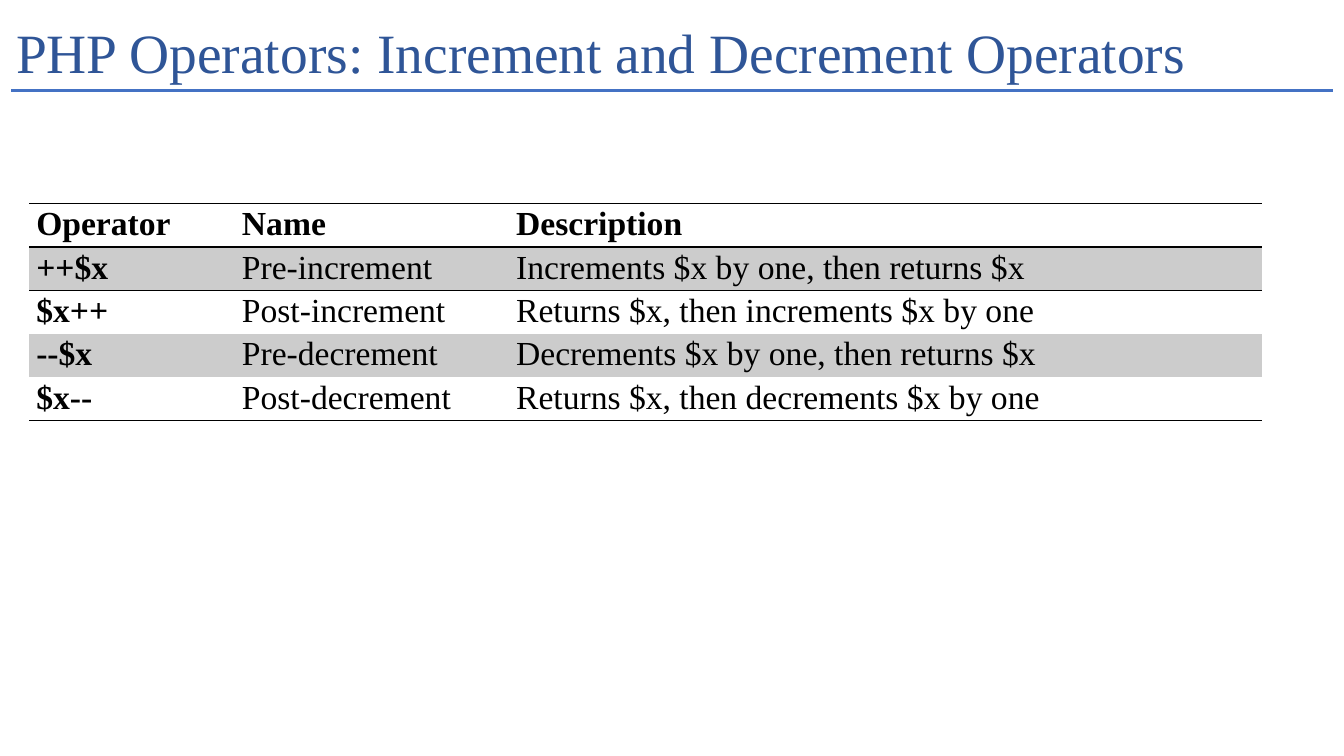
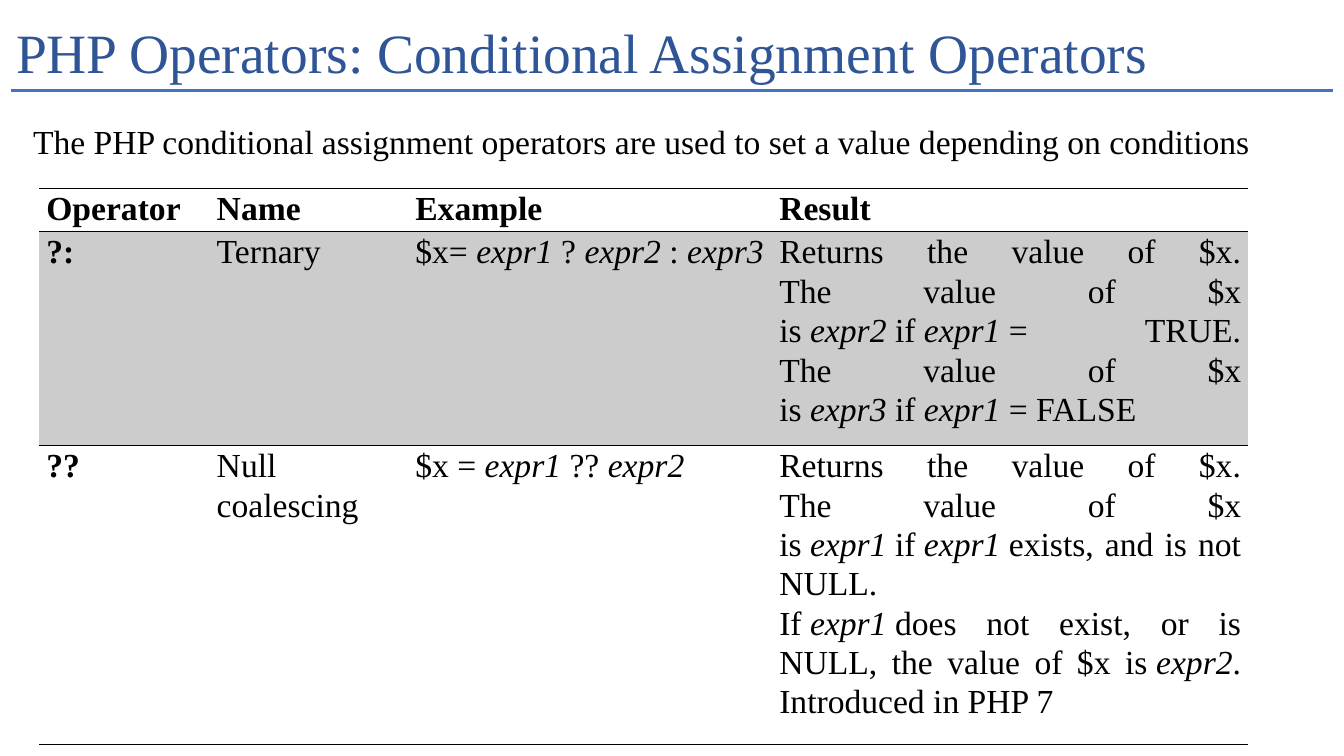
from lxml.etree import SubElement
from pptx import Presentation
from pptx.dml.color import RGBColor
from pptx.enum.shapes import MSO_CONNECTOR as Connector
from pptx.enum.text import MSO_ANCHOR as Anchor, MSO_AUTO_SIZE as AutoSize, PP_ALIGN as Align
from pptx.oxml.ns import qn
from pptx.util import Inches, Pt

FONT = "Times New Roman"
TITLE_BLUE, RULE_BLUE, BLACK, BAND_GREY = "2F5597", "4472C4", "000000", "CCCCCC"
TITLE_SIZE, BODY_SIZE = 39.6, 24
NO_STYLE = "{2D5ABB26-0587-4C30-8999-92F81FD0307C}"
NBSP = chr(160)

SLIDES = [
    {
        "title": "PHP Operators: Increment and Decrement Operators",
        "table": {
            "left": 0.29, "top": 2.02, "align": Align.LEFT,
            "columns": [2.04, 2.72, 7.47],
            "heights": [0.43] * 5,
            "rows": [
                ("Operator", "Name", "Description"),
                ("++$x", "Pre-increment", "Increments $x by one, then returns $x"),
                ("$x++", "Post-increment", "Returns $x, then increments $x by one"),
                ("--$x", "Pre-decrement", "Decrements $x by one, then returns $x"),
                ("$x--", "Post-decrement", "Returns $x, then decrements $x by one"),
            ],
        },
    },
    {
        "title": "PHP Operators: Conditional Assignment Operators",
        "intro": "The PHP conditional assignment operators are used to set a value depending on conditions",
        "table": {
            "left": 0.39, "top": 1.87, "align": Align.JUSTIFY,
            "columns": [1.69, 1.97, 3.61, 4.72],
            "heights": [0.43, 2.12, 2.96],
            "rows": [
                ("Operator", "Name", "Example", "Result"),
                ("?:", "Ternary", "$x= *expr1* ? *expr2* : *expr3*",
                 "Returns the value of $x.\nThe value of $x is *expr2* if *expr1* = TRUE.\n"
                 "The value of $x is *expr3* if *expr1* = FALSE"),
                ("??", "Null coalescing", "$x = *expr1* ?? *expr2*",
                 "Returns the value of $x.\nThe value of $x is *expr1* if *expr1* exists, and is not NULL.\n"
                 "If *expr1* does not exist, or is NULL, the value of $x is *expr2*.\nIntroduced in PHP 7"),
            ],
        },
    },
]


def color(value):
    return RGBColor.from_string(value)


def style_run(run, size, hex_color, bold=False, italic=False):
    run.font.name, run.font.size = FONT, Pt(size)
    run.font.color.rgb = color(hex_color)
    run.font.bold, run.font.italic = bold, italic


def write_marked(paragraph, text, bold):
    text = text.replace(" *", NBSP + "*").replace("* ", "*" + NBSP)
    for part_index, part in enumerate(text.split("*")):
        for line_index, line in enumerate(part.split("\n")):
            if line_index:
                paragraph.add_line_break()
            if line:
                run = paragraph.add_run()
                run.text = line
                style_run(run, BODY_SIZE, BLACK, bold, part_index % 2 == 1)


def add_border(cell, side):
    line = SubElement(cell._tc.get_or_add_tcPr(), qn(f"a:ln{side}"), w=str(Pt(1)))
    fill = SubElement(line, qn("a:solidFill"))
    SubElement(fill, qn("a:srgbClr"), val=BLACK)


def fill_cell(cell, text, row, column, last_row, align):
    cell.margin_left = cell.margin_right = Inches(0.07)
    cell.margin_top = cell.margin_bottom = 0
    paragraph = cell.text_frame.paragraphs[0]
    paragraph.alignment = Align.JUSTIFY if row == 0 else align
    paragraph.line_spacing, paragraph.space_after = 1.06, Pt(8)
    write_marked(paragraph, text, row == 0 or column == 0)
    if row <= 1:
        add_border(cell, "T")
    if row in (0, last_row):
        add_border(cell, "B")
    if row % 2:
        cell.fill.solid()
        cell.fill.fore_color.rgb = color(BAND_GREY)
    else:
        cell.fill.background()


def add_operator_table(slide, left, top, align, columns, heights, rows):
    frame = slide.shapes.add_table(len(rows), len(columns), Inches(left), Inches(top),
                                   Inches(sum(columns)), Inches(sum(heights)))
    table = frame.table
    table.first_row = table.horz_banding = False
    for style in frame.element.iter(qn("a:tableStyleId")):
        style.text = NO_STYLE
    for column, width in zip(table.columns, columns):
        column.width = Inches(width)
    for row, height in zip(table.rows, heights):
        row.height = Inches(height)
    for row, texts in enumerate(rows):
        for column, text in enumerate(texts):
            fill_cell(table.cell(row, column), text, row, column, len(rows) - 1, align)


def add_intro(slide, text):
    box = slide.shapes.add_textbox(Inches(0.23), Inches(1.15), Inches(12.93), Inches(0.5))
    text_frame = box.text_frame
    text_frame.word_wrap, text_frame.auto_size = True, AutoSize.SHAPE_TO_FIT_TEXT
    text_frame.text = text
    style_run(text_frame.paragraphs[0].runs[0], BODY_SIZE, BLACK)


def set_title(slide, text):
    text_frame = slide.shapes.title.text_frame
    text_frame.text = text
    text_frame.vertical_anchor, text_frame.auto_size = Anchor.MIDDLE, AutoSize.NONE
    paragraph = text_frame.paragraphs[0]
    paragraph.alignment, paragraph.line_spacing = Align.LEFT, 0.9
    style_run(paragraph.runs[0], TITLE_SIZE, TITLE_BLUE)


def place_layout_title(layout):
    title = layout.placeholders[0]
    title.left, title.top = Inches(0.06), Inches(0.18)
    title.width, title.height = Inches(13.1), Inches(0.75)


def move_rule_to_layout(slide, layout):
    rule = slide.shapes.add_connector(Connector.STRAIGHT, Inches(0.11), Inches(0.9),
                                      Inches(13.22), Inches(0.9))
    rule.line.color.rgb, rule.line.width = color(RULE_BLUE), Pt(2.25)
    SubElement(rule.element.spPr, qn("a:effectLst"))
    layout.shapes.element.append(rule.element)


def main():
    presentation = Presentation()
    presentation.slide_width, presentation.slide_height = Inches(13.33), Inches(7.5)
    layout = presentation.slide_layouts[5]
    place_layout_title(layout)
    for index, content in enumerate(SLIDES):
        slide = presentation.slides.add_slide(layout)
        if index == 0:
            move_rule_to_layout(slide, layout)
        set_title(slide, content["title"])
        if "intro" in content:
            add_intro(slide, content["intro"])
        add_operator_table(slide, **content["table"])
    presentation.save("out.pptx")


if __name__ == "__main__":
    main()
